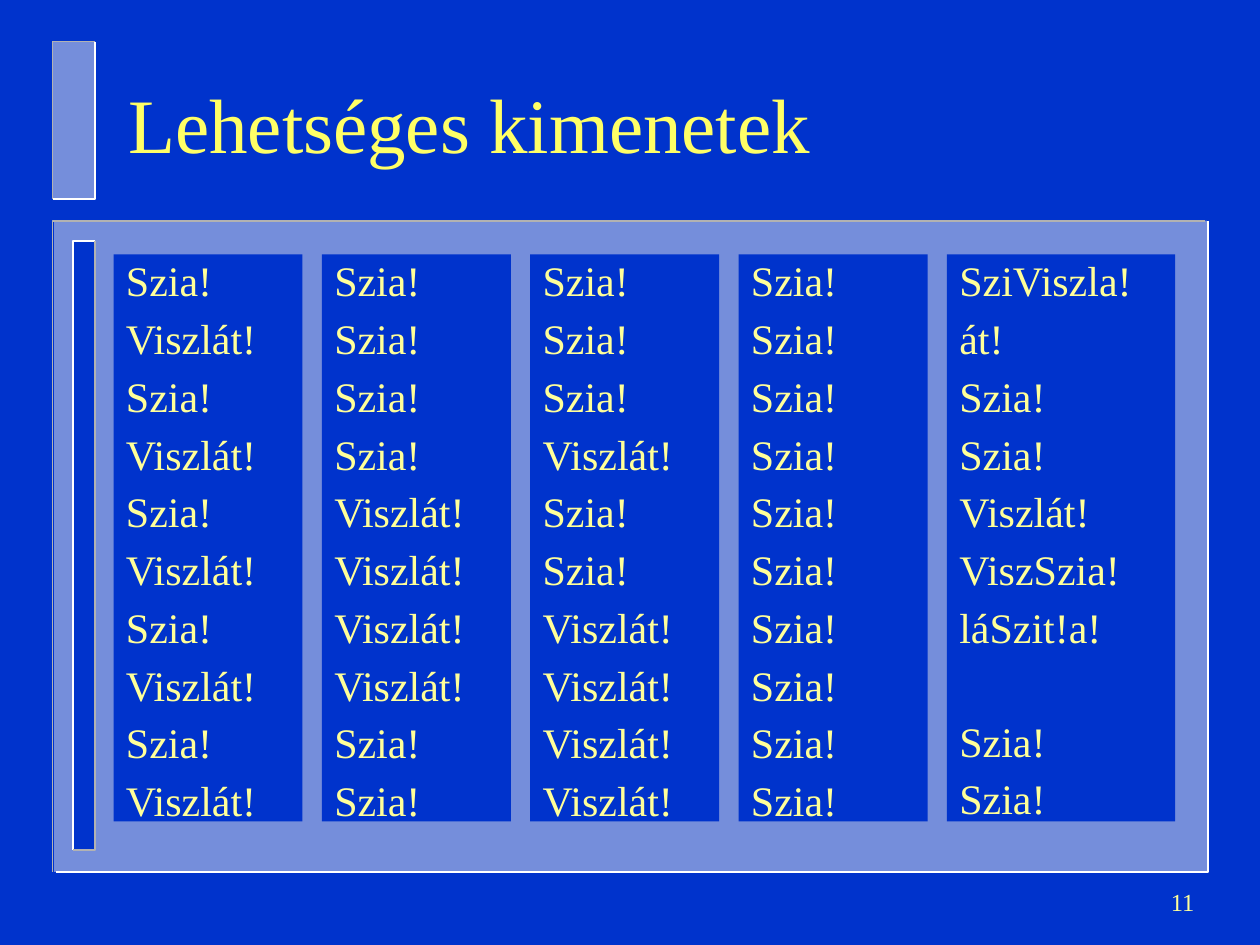
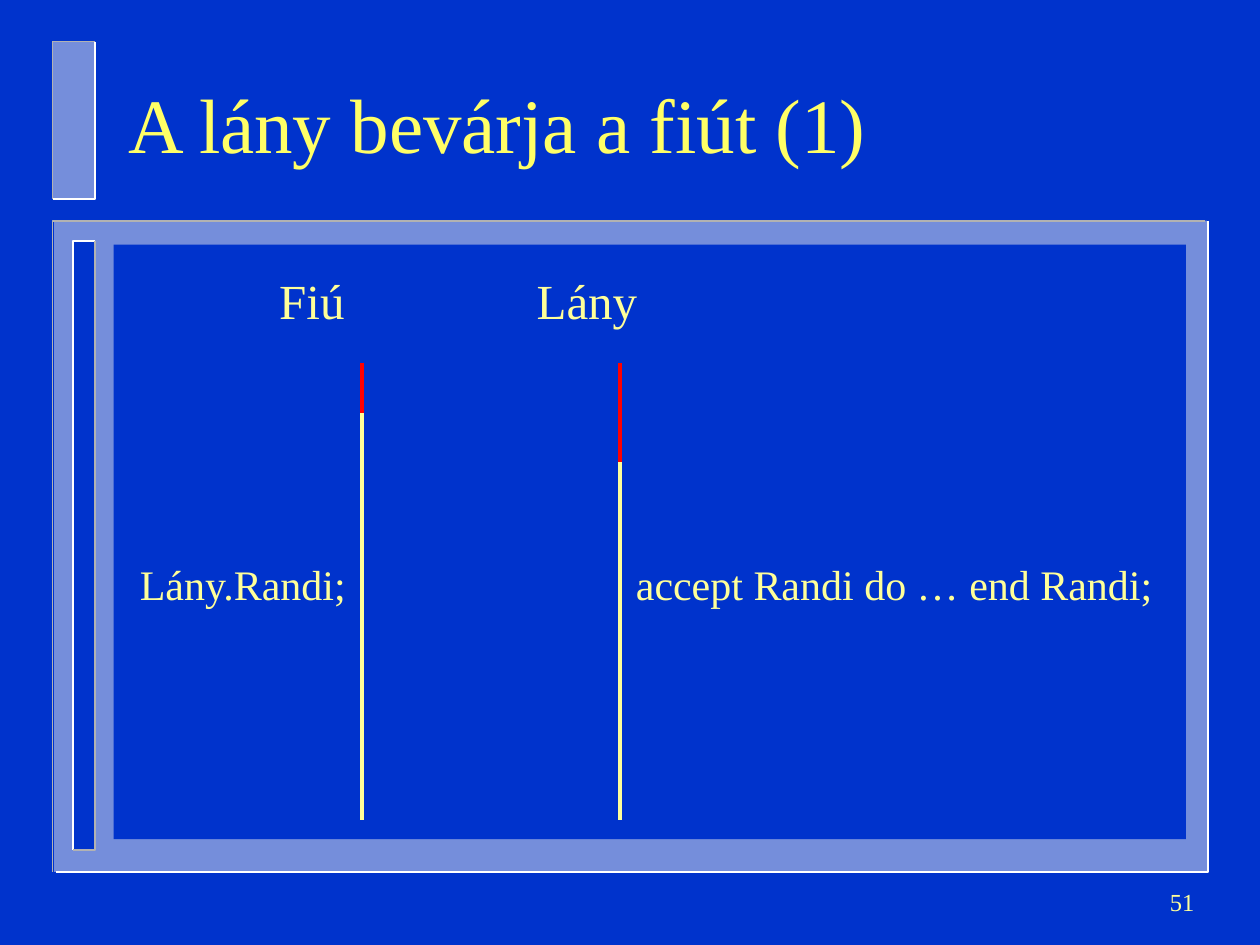
from dataclasses import dataclass
from itertools import pairwise

from lxml import etree
from pptx import Presentation
from pptx.dml.color import RGBColor
from pptx.enum import shapes as kinds, text as txt
from pptx.oxml import ns
from pptx.util import Cm, Pt


@dataclass(frozen=True)
class Theme:
    font: str = "Times New Roman"
    blue: RGBColor = RGBColor.from_string("0033CC")
    haze: RGBColor = RGBColor.from_string("EAEAEA")
    shade: RGBColor = RGBColor.from_string("B2B2B2")
    glint: RGBColor = RGBColor.from_string("FFFFFF")
    title: RGBColor = RGBColor.from_string("FFFF66")
    cream: RGBColor = RGBColor.from_string("FFFF99")
    red: RGBColor = RGBColor.from_string("FF0000")
    title_size: int = 44
    head_size: int = 28
    body_size: int = 24
    number_size: int = 14


theme = Theme()


def add_block(slide, left, top, width, height, color):
    block = slide.shapes.add_shape(
        kinds.MSO_SHAPE.RECTANGLE, Cm(left), Cm(top), Cm(width), Cm(height))
    block.shadow.inherit = False
    block.fill.solid()
    block.fill.fore_color.rgb = color
    block.line.fill.background()
    return block


def write(shape, lines, size, color=theme.cream, anchor=txt.MSO_ANCHOR.TOP,
          align=txt.PP_ALIGN.LEFT, indent=0.25):
    """Fill a shape with one paragraph per line; an empty line becomes a gap."""
    frame = shape.text_frame
    frame.word_wrap = True
    frame.vertical_anchor = anchor
    frame.margin_left = Cm(indent)
    gap = 0
    for line in lines:
        if not line:
            gap += 32
            continue
        if line is lines[0] and not frame.text:
            paragraph = frame.paragraphs[0]
        else:
            paragraph = frame.add_paragraph()
        paragraph.text = line
        paragraph.alignment = align
        paragraph.space_before = Pt(gap)
        if len(lines) > 1:
            paragraph.line_spacing = 0.9
        paragraph.font.name = theme.font
        paragraph.font.size = Pt(size)
        paragraph.font.color.rgb = color
        gap = 7.1


prs = Presentation()
prs.slide_width, prs.slide_height = Cm(25.4), Cm(19.05)
backdrop = prs.slide_master.background.fill
backdrop.solid()
backdrop.fore_color.rgb = theme.blue

# Bevelled parts: place, fill, opacity, upper-left edge, lower-right edge, edge offset
bevels = [
    ((1.09, 4.45, 23.24, 13.13), theme.haze, 50, theme.shade, theme.glint, 0.03),
    ((1.48, 4.86, 0.43, 12.28), theme.blue, 100, theme.glint, theme.shade, 0),
    ((1.06, 0.84, 0.85, 3.18), theme.haze, 50, theme.shade, theme.glint, 0),
]

slides = []
for title, number in [("Lehetséges kimenetek", "11"), ("A lány bevárja a fiút (1)", "51")]:
    slide = prs.slides.add_slide(prs.slide_layouts[6])
    slides.append(slide)
    for (left, top, width, height), color, opacity, upper, lower, offset in bevels:
        block = add_block(slide, left, top, width, height, color)
        if opacity < 100:
            tint = block.fill._xPr.find(".//" + ns.qn("a:srgbClr"))
            etree.SubElement(tint, ns.qn("a:alpha"), val=str(opacity * 1000))
        right, bottom = left + width, top + height
        for corner, edge_color, shift in [((left, top), upper, -offset),
                                          ((right, bottom), lower, offset)]:
            (start_x, start_y), *bends = [
                (Cm(x + shift), Cm(y)) for x, y in [(right, top), corner, (left, bottom)]]
            outline = slide.shapes.build_freeform(start_x, start_y)
            outline.add_line_segments(bends, close=False)
            edge = outline.convert_to_shape()
            edge.shadow.inherit = False
            edge.fill.background()
            edge.line.color.rgb = edge_color
            edge.line.width = Pt(1)
    heading = slide.shapes.add_textbox(Cm(2.34), Cm(0.94), Cm(21.59), Cm(3.07))
    write(heading, [title], theme.title_size, theme.title, txt.MSO_ANCHOR.MIDDLE)
    page = slide.shapes.add_textbox(Cm(19.05), Cm(17.55), Cm(5.28), Cm(1.27))
    write(page, [number], theme.number_size, anchor=txt.MSO_ANCHOR.MIDDLE,
          align=txt.PP_ALIGN.RIGHT)

outcomes, meeting = slides

# Possible outputs, one column per run of the program
hello, bye = "Szia!", "Viszlát!"
runs = [
    [hello, bye] * 5,
    [hello] * 4 + [bye] * 4 + [hello] * 2,
    [hello] * 3 + [bye] + [hello] * 2 + [bye] * 4,
    [hello] * 10,
    ["SziViszla!", "át!", hello, hello, bye, "ViszSzia!", "láSzit!a!", "", hello, hello],
]
for index, run in enumerate(runs):
    width = 4.6 if run is runs[-1] else 3.81
    column = add_block(outcomes, 2.29 + 4.2 * index, 5.13, width, 11.43, theme.blue)
    write(column, run, theme.body_size)

# Timelines of the two tasks
add_block(meeting, 2.29, 4.93, 21.62, 11.99, theme.blue)
labels = [
    ("Fiú", 4.11, 5.33, 4.7, theme.head_size),
    ("Lány", 9.3, 5.33, 5.41, theme.head_size),
    ("Lány.Randi;", 1.3, 11.13, 5.99, theme.body_size),
    ("accept Randi do … end Randi;", 11.3, 11.13, 12.6, theme.body_size),
]
for label, left, top, width, size in labels:
    box = meeting.shapes.add_textbox(Cm(left), Cm(top), Cm(width), Cm(1.3))
    write(box, [label], size, indent=1.52)

for x, ready in [(7.3, 8.33), (12.5, 9.32)]:
    stages = pairwise([7.32, ready, 11.91, 16.54])
    for (start, end), color in zip(stages, [theme.red, theme.cream, theme.cream]):
        stage = meeting.shapes.add_connector(
            kinds.MSO_CONNECTOR.STRAIGHT, Cm(x), Cm(start), Cm(x), Cm(end))
        stage.line.color.rgb = color
        stage.line.width = Pt(2.25)
        etree.SubElement(stage._element.spPr, ns.qn("a:effectLst"))

prs.save("out.pptx")
